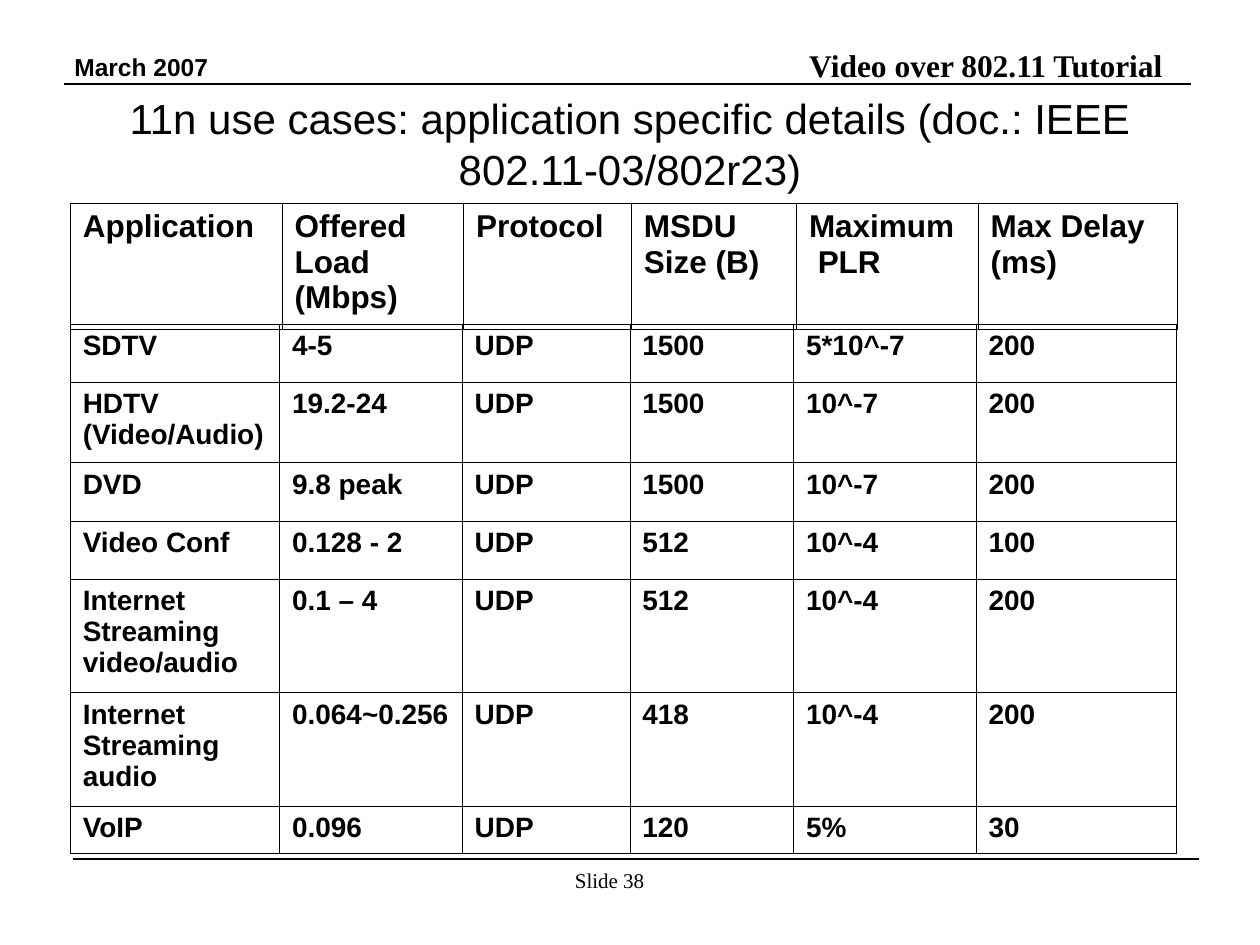
from dataclasses import dataclass

from lxml import etree
from pptx import Presentation
from pptx.dml.color import RGBColor
from pptx.enum.shapes import MSO_CONNECTOR
from pptx.enum.text import MSO_ANCHOR, PP_ALIGN
from pptx.oxml.ns import qn
from pptx.util import Cm, Pt

LEFT, CENTER, RIGHT = PP_ALIGN.LEFT, PP_ALIGN.CENTER, PP_ALIGN.RIGHT
TOP, MIDDLE, BOTTOM = MSO_ANCHOR.TOP, MSO_ANCHOR.MIDDLE, MSO_ANCHOR.BOTTOM
STRAIGHT = MSO_CONNECTOR.STRAIGHT


@dataclass(frozen=True)
class Theme:
    ink: str = "000000"
    sans: str = "Arial"
    serif: str = "Times New Roman"
    title: float = 24
    heading: float = 18
    body: float = 16
    date: float = 14
    footer: float = 12
    rule: float = 1
    border: float = 0.45


THEME = Theme()
INK = RGBColor.from_string(THEME.ink)
PADDING = (0.25, 0.13)

HEADINGS = ["Application", "Offered Load (Mbps)", "Protocol", "MSDU Size (B)",
            "Maximum\n PLR", "Max Delay (ms)"]
HEADING_WIDTHS = [4.27, 3.66, 3.38, 3.33, 3.66, 4.01]

USE_CASES = [
    ["SDTV", "4-5", "UDP", "1500", "5*10^-7", "200"],
    ["HDTV (Video/Audio)", "19.2-24", "UDP", "1500", "10^-7", "200"],
    ["DVD", "9.8 peak", "UDP", "1500", "10^-7", "200"],
    ["Video Conf", "0.128 - 2", "UDP", "512", "10^-4", "100"],
    ["Internet Streaming video/audio", "0.1 – 4", "UDP", "512", "10^-4", "200"],
    ["Internet Streaming audio", "0.064~0.256", "UDP", "418", "10^-4", "200"],
    ["VoIP", "0.096", "UDP", "120", "5%", "30"],
]
USE_CASE_WIDTHS = [4.22, 3.68, 3.38, 3.3, 3.68, 4.04]
USE_CASE_HEIGHTS = [1.17, 1.63, 1.17, 1.17, 2.29, 2.29, 0.94]


def style_paragraph(para, size, font, bold):
    para.font.size = Pt(size)
    para.font.name = font
    para.font.bold = bold
    para.font.color.rgb = INK


def add_text(slide, text, area, size, font=THEME.sans, bold=False,
             align=LEFT, anchor=TOP, padding=(0, 0)):
    box = slide.shapes.add_textbox(*map(Cm, area))
    frame = box.text_frame
    frame.word_wrap = True
    frame.vertical_anchor = anchor
    frame.margin_left = frame.margin_right = Cm(padding[0])
    frame.margin_top = frame.margin_bottom = Cm(padding[1])
    para = frame.paragraphs[0]
    para.text = text
    para.alignment = align
    style_paragraph(para, size, font, bold)


def add_rule(slide, left, top, width):
    rule = slide.shapes.add_connector(
        STRAIGHT, Cm(left), Cm(top), Cm(left + width), Cm(top))
    rule.line.color.rgb = INK
    rule.line.width = Pt(THEME.rule)
    etree.SubElement(rule._element.spPr, qn("a:effectLst"))


def add_borders(cell):
    properties = cell._tc.get_or_add_tcPr()
    for position, side in enumerate(("a:lnL", "a:lnR", "a:lnT", "a:lnB")):
        line = etree.Element(qn(side), w=str(int(Pt(THEME.border))))
        fill = etree.SubElement(line, qn("a:solidFill"))
        etree.SubElement(fill, qn("a:srgbClr"), val=THEME.ink)
        properties.insert(position, line)


def add_grid(slide, rows, left, top, widths, heights, size):
    grid = slide.shapes.add_table(
        len(rows), len(widths), Cm(left), Cm(top),
        Cm(sum(widths)), Cm(sum(heights))).table
    grid.first_row = grid.horz_banding = False
    for column, width in zip(grid.columns, widths):
        column.width = Cm(width)
    for row, height, texts in zip(grid.rows, heights, rows):
        row.height = Cm(height)
        for cell, text in zip(row.cells, texts):
            cell.text = text
            cell.margin_left = cell.margin_right = Cm(PADDING[0])
            cell.margin_top = cell.margin_bottom = Cm(PADDING[1])
            cell.fill.background()
            add_borders(cell)
            for para in cell.text_frame.paragraphs:
                style_paragraph(para, size, THEME.sans, True)


def main():
    deck = Presentation()
    deck.slide_width, deck.slide_height = Cm(25.4), Cm(19.05)
    slide = deck.slides.add_slide(deck.slide_layouts[6])

    # Page header and footer
    add_rule(slide, 1.3, 1.7, 22.7)
    add_rule(slide, 1.47, 17.32, 22.7)
    add_text(slide, "Video over 802.11 Tutorial", (14.91, 0.94, 8.53, 0.76),
             THEME.heading, THEME.serif, True, RIGHT, BOTTOM)
    add_text(slide, "March 2007", (1.25, 0.92, 3.96, 0.86),
             THEME.date, bold=True, padding=PADDING)
    add_text(slide, "Slide 38", (10.92, 17.48, 2.74, 0.51),
             THEME.footer, THEME.serif, align=CENTER)

    # Title
    add_text(slide, "11n use cases: application specific details "
             "(doc.: IEEE 802.11-03/802r23)", (1.27, 1.85, 22.86, 2.08),
             THEME.title, align=CENTER, anchor=MIDDLE, padding=PADDING)

    # Use cases, with the headings in a table of their own
    add_grid(slide, USE_CASES, 1.42, 6.53, USE_CASE_WIDTHS,
             USE_CASE_HEIGHTS, THEME.body)
    add_grid(slide, [HEADINGS], 1.42, 4.09, HEADING_WIDTHS,
             [2.54], THEME.heading)

    deck.save("out.pptx")


if __name__ == "__main__":
    main()
